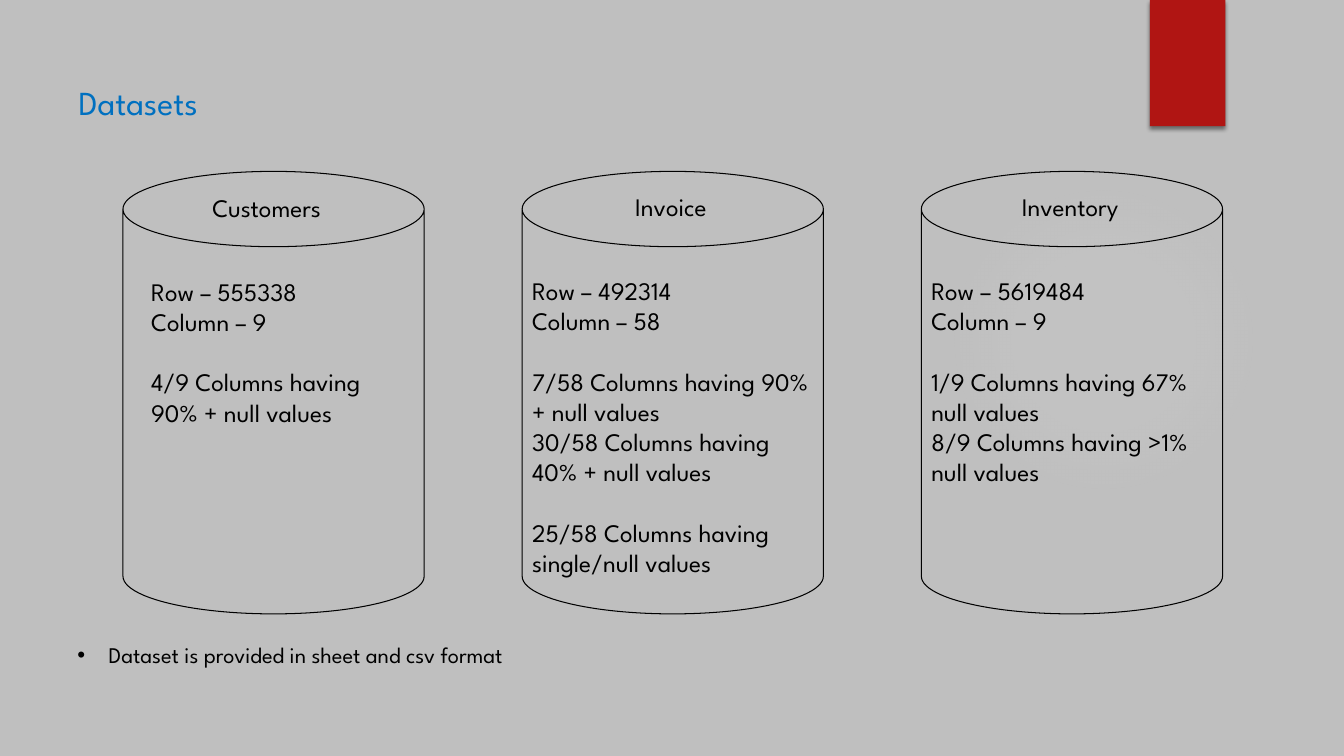
from lxml import etree
from pptx import Presentation
from pptx.dml.color import RGBColor
from pptx.enum.shapes import MSO_SHAPE
from pptx.enum.text import PP_ALIGN
from pptx.oxml import parse_xml
from pptx.oxml.ns import nsdecls, qn
from pptx.util import Cm, Pt

CAN, OVAL, RECTANGLE = MSO_SHAPE.CAN, MSO_SHAPE.OVAL, MSO_SHAPE.RECTANGLE
CENTER, LEFT = PP_ALIGN.CENTER, PP_ALIGN.LEFT

GREY = RGBColor(0xBF, 0xBF, 0xBF)
RED = RGBColor(0xB0, 0x15, 0x13)
BLUE = RGBColor(0x00, 0x70, 0xC0)
BLACK = RGBColor(0x00, 0x00, 0x00)
FONT = "League Spartan"
BLANK_LAYOUT = 6
GROUP_GAP = Pt(21.6)  # one line of 18 pt text

# Each dataset: name, (left, top, width) of its label and of its facts
# relative to the cylinder, and groups of lines set apart by a gap
DATASETS = [
    ("Customers", (0.94, 0.41, 5.36), (0.46, 2.51, 6.83), [
        ["Row – 555338", "Column – 9"],
        ["4/9 Columns having 90% + null values"],
    ]),
    ("Invoice", (1.07, 0.38, 5.36), (0, 2.49, 7.59), [
        ["Row – 492314", "Column – 58"],
        ["7/58 Columns having 90% + null values",
         "30/58 Columns having 40% + null values"],
        ["25/58 Columns having single/null values"],
    ]),
    ("Inventory", (1.07, 0.38, 5.36), (0, 2.49, 7.59), [
        ["Row – 5619484", "Column – 9"],
        ["1/9 Columns having 67% null values",
         "8/9 Columns having >1% null values"],
    ]),
]


def add_text(page, left, top, width, height, groups, size,
             color=BLACK, align=LEFT):
    """Write groups of lines, one paragraph a line; return the paragraphs."""
    box = page.shapes.add_textbox(Cm(left), Cm(top), Cm(width), Cm(height))
    frame = box.text_frame
    frame.word_wrap = True
    paras = []
    for group in groups:
        for index, line in enumerate(group):
            para = frame.add_paragraph() if paras else frame.paragraphs[0]
            if paras and index == 0:
                para.space_before = GROUP_GAP
            para.text = line
            para.alignment = align
            para.font.name = FONT
            para.font.size = Pt(size)
            para.font.color.rgb = color
            paras.append(para)
    return paras


def add_backdrop(page):
    page.background.fill.solid()
    page.background.fill.fore_color.rgb = GREY

    # Faint round glow
    glow = page.shapes.add_shape(OVAL, Cm(23.9), Cm(4.65), Cm(7.82), Cm(7.82))
    glow.shadow.inherit = False
    glow.line.fill.background()
    glow.fill.background()
    stops = "".join(
        f'<a:gs pos="{position * 1000}"><a:srgbClr val="F7F7F7">'
        f'<a:alpha val="{alpha * 1000}"/></a:srgbClr></a:gs>'
        for position, alpha in [(0, 7), (36, 6), (69, 0)])
    gradient = parse_xml(
        f'<a:gradFill {nsdecls("a")}><a:gsLst>{stops}</a:gsLst>'
        '<a:path path="circle"><a:fillToRect l="50000" t="50000" '
        'r="50000" b="50000"/></a:path></a:gradFill>')
    properties = glow.element.spPr
    properties.replace(properties.find(qn("a:noFill")), gradient)

    # Red tab with a soft shadow
    tab = page.shapes.add_shape(RECTANGLE, Cm(28.98), 0, Cm(1.9), Cm(3.18))
    tab.fill.solid()
    tab.fill.fore_color.rgb = RED
    tab.line.fill.background()
    tab.shadow.inherit = False
    tab.element.spPr.find(qn("a:effectLst")).append(parse_xml(
        f'<a:outerShdw {nsdecls("a")} blurRad="{Pt(3)}" dist="{Pt(2)}" '
        'dir="5400000" rotWithShape="0"><a:srgbClr val="000000">'
        '<a:alpha val="45000"/></a:srgbClr></a:outerShdw>'))


def add_dataset(page, left, top, width, height, dataset):
    name, label_place, facts_place, facts = dataset
    cylinder = page.shapes.add_shape(
        CAN, Cm(left), Cm(top), Cm(width), Cm(height))
    cylinder.shadow.inherit = False
    cylinder.fill.background()
    cylinder.line.color.rgb = BLACK
    cylinder.line.width = Pt(0.75)

    x, y, label_width = label_place
    add_text(page, left + x, top + y, label_width, 1.02, [[name]], 18,
             align=CENTER)
    x, y, facts_width = facts_place
    add_text(page, left + x, top + y, facts_width, height - y - 0.7, facts, 18)


def add_footnote(page, left, top, width, height, text):
    para = add_text(page, left, top, width, height, [[text]], 16)[0]
    properties = para._p.get_or_add_pPr()
    properties.set("marL", str(Cm(0.79)))
    properties.set("indent", str(-Cm(0.79)))
    bullet = etree.Element(qn("a:buChar"), char="•")
    bullet_font = etree.Element(qn("a:buFont"), typeface="Arial")
    properties.insert(0, bullet_font)
    properties.insert(1, bullet)


def main():
    deck = Presentation()
    deck.slide_width, deck.slide_height = Cm(33.87), Cm(19.05)
    page = deck.slides.add_slide(deck.slide_layouts[BLANK_LAYOUT])

    add_backdrop(page)
    add_text(page, 1.73, 1.93, 27.89, 1.27, [["Datasets"]], 24, BLUE)
    for index, dataset in enumerate(DATASETS):
        add_dataset(page, 3.1 + index * 10.06, 4.32, 7.59, 11.15, dataset)
    add_footnote(page, 1.7, 16.03, 30.43, 1.63,
                 "Dataset is provided in sheet and csv format")

    deck.save("out.pptx")


if __name__ == "__main__":
    main()
